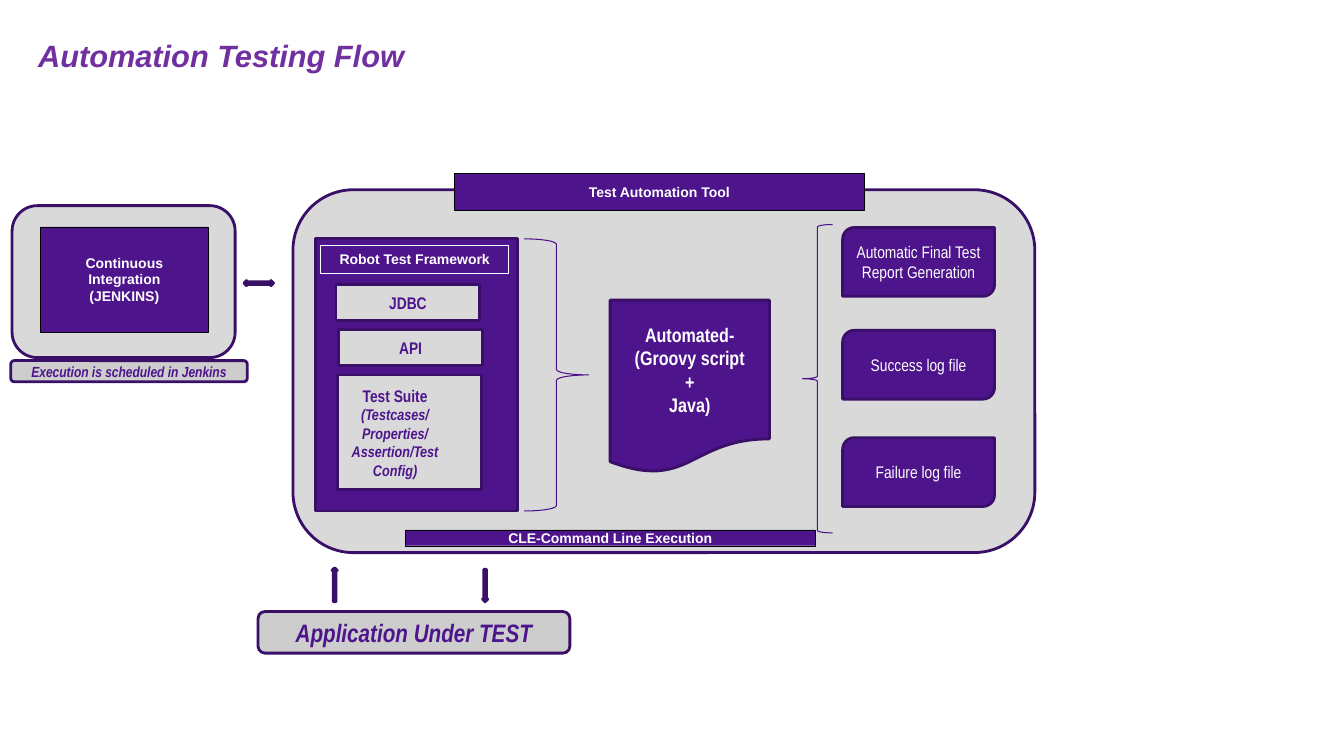
from pptx import Presentation
from pptx.dml.color import RGBColor
from pptx.enum.shapes import MSO_SHAPE as Preset
from pptx.enum.text import MSO_ANCHOR as Anchor, PP_ALIGN as Align
from pptx.util import Inches, Pt

SLIDE_WIDTH, SLIDE_HEIGHT = Inches(13.33), Inches(7.5)
PURPLE, DARK, BRACE = "4D148C", "390F68", "4B118C"
PANEL, LABEL, WHITE, BLACK = "D9D9D9", "CDCDCD", "FFFFFF", "000000"

# Text formats
TITLE = dict(name="Arial", size=22, color="7030A0", bold=True, italic=True)
HEADING = dict(name="Arial", size=10, color=WHITE, bold=True)
PART = dict(name="Arial Narrow", size=12, color=PURPLE, bold=True)
DETAIL = PART | dict(size=11, italic=True)
OUTPUT = dict(name="Arial Narrow", size=12, color=WHITE)
SCRIPT = OUTPUT | dict(size=14, bold=True)
APPLICATION = DETAIL | dict(size=18)
SCHEDULE = DETAIL | dict(size=10.5)


def rgb(color):
    return RGBColor.from_string(color)


def place(left, top, width, height):
    """Turn percentages of the slide into lengths."""
    return (round(SLIDE_WIDTH * left / 100), round(SLIDE_HEIGHT * top / 100),
            round(SLIDE_WIDTH * width / 100), round(SLIDE_HEIGHT * height / 100))


def write(shape, lines, align=Align.CENTER):
    """Fill a shape with one paragraph for each (text, format) pair."""
    frame = shape.text_frame
    frame.word_wrap = True
    frame.vertical_anchor = Anchor.MIDDLE
    for index, (text, style) in enumerate(lines):
        paragraph = frame.add_paragraph() if index else frame.paragraphs[0]
        paragraph.alignment = align
        run = paragraph.add_run()
        run.text = text
        for key, value in style.items():
            if key == "color":
                run.font.color.rgb = rgb(value)
            else:
                setattr(run.font, key, Pt(value) if key == "size" else value)


def add_block(slide, preset, area, fill=PURPLE, line=DARK, weight=2, lines=()):
    shape = slide.shapes.add_shape(preset, *place(*area))
    shape.shadow.inherit = False
    if fill:
        shape.fill.solid()
        shape.fill.fore_color.rgb = rgb(fill)
    else:
        shape.fill.background()
    shape.line.color.rgb = rgb(line)
    shape.line.width = Pt(weight)
    if lines:
        write(shape, lines)
    return shape


def add_heading(slide, area, *texts, line=BLACK):
    add_block(slide, Preset.RECTANGLE, area, line=line, weight=0.25,
              lines=[(text, HEADING) for text in texts])


def add_brace(slide, preset, area):
    add_block(slide, preset, area, fill=None, line=BRACE, weight=0.75)


def add_label(slide, area, text, style):
    add_block(slide, Preset.ROUNDED_RECTANGLE, area, LABEL, lines=[(text, style)])


def add_title(slide, area, text):
    box = slide.shapes.add_textbox(*place(*area))
    write(box, [(text, TITLE)], Align.LEFT)


def add_integration(slide):
    add_block(slide, Preset.ROUNDED_RECTANGLE, (0.9, 27.2, 16.6, 20.1), PANEL)
    add_heading(slide, (3, 30, 12.5, 13.9), "Continuous Integration", "(JENKINS)")
    add_label(slide, (0.8, 47.7, 17.6, 2.8), "Execution is scheduled in Jenkins", SCHEDULE)


def add_framework(slide):
    add_block(slide, Preset.RECTANGLE, (23.5, 31.6, 15, 36))
    add_heading(slide, (23.85, 32.4, 14, 3.7), "Robot Test Framework", line=WHITE)
    parts = [
        (25, 4.8, [("JDBC", PART)]),
        (25.2, 4.8, [("API", PART)]),
        (25.1, 15.2, [("Test Suite", PART),
                      ("(Testcases/Properties/Assertion/Test Config)", DETAIL)]),
    ]
    for row, (left, height, lines) in enumerate(parts):
        part = add_block(slide, Preset.RECTANGLE, (left, 37.6 + 6 * row, 10.7, height),
                         PANEL, lines=lines)
    # The suite's name sits left of centre
    suite_name = part.text_frame.paragraphs[0]
    suite_name._p.get_or_add_pPr().set("marR", str(Inches(0.28)))


def add_outputs(slide):
    outputs = {30.1: "Automatic Final Test Report Generation",
               43.7: "Success log file",
               57.9: "Failure log file"}
    for top, text in outputs.items():
        add_block(slide, Preset.ROUND_2_DIAG_RECTANGLE, (62.7, top, 11.3, 9.1),
                  lines=[(text, OUTPUT)])


def main():
    presentation = Presentation()
    presentation.slide_width, presentation.slide_height = SLIDE_WIDTH, SLIDE_HEIGHT
    slide = presentation.slides.add_slide(presentation.slide_layouts[6])

    add_title(slide, (2.1, 4.3, 96.75, 5.9), "Automation Testing Flow")
    add_integration(slide)

    # Test automation tool, from framework to script to results
    add_block(slide, Preset.ROUNDED_RECTANGLE, (21.8, 25.1, 55.2, 48), PANEL)
    add_heading(slide, (33.8, 22.9, 30.5, 4.9), "Test Automation Tool")
    add_framework(slide)
    add_brace(slide, Preset.RIGHT_BRACE, (39, 31.6, 4.8, 36))
    add_block(slide, Preset.FLOWCHART_DOCUMENT, (45.4, 39.7, 11.85, 22.9),
              lines=[(text, SCRIPT) for text in ("Automated-(Groovy script", "+", "Java)")])
    add_brace(slide, Preset.LEFT_BRACE, (59.7, 29.7, 2.25, 40.8))
    add_outputs(slide)
    add_heading(slide, (30.15, 70.1, 30.5, 2.1), "CLE-Command Line Execution")

    # Application under test and the arrows around the tool
    add_label(slide, (19.2, 80.9, 23.2, 5.5), "Application Under TEST", APPLICATION)
    add_block(slide, Preset.LEFT_RIGHT_ARROW, (18.15, 37.1, 2.2, 0.7))
    add_block(slide, Preset.UP_ARROW, (24.7, 75.1, 0.4, 4.5))
    add_block(slide, Preset.DOWN_ARROW, (35.9, 75.3, 0.4, 4.3))

    presentation.save("out.pptx")


if __name__ == "__main__":
    main()
